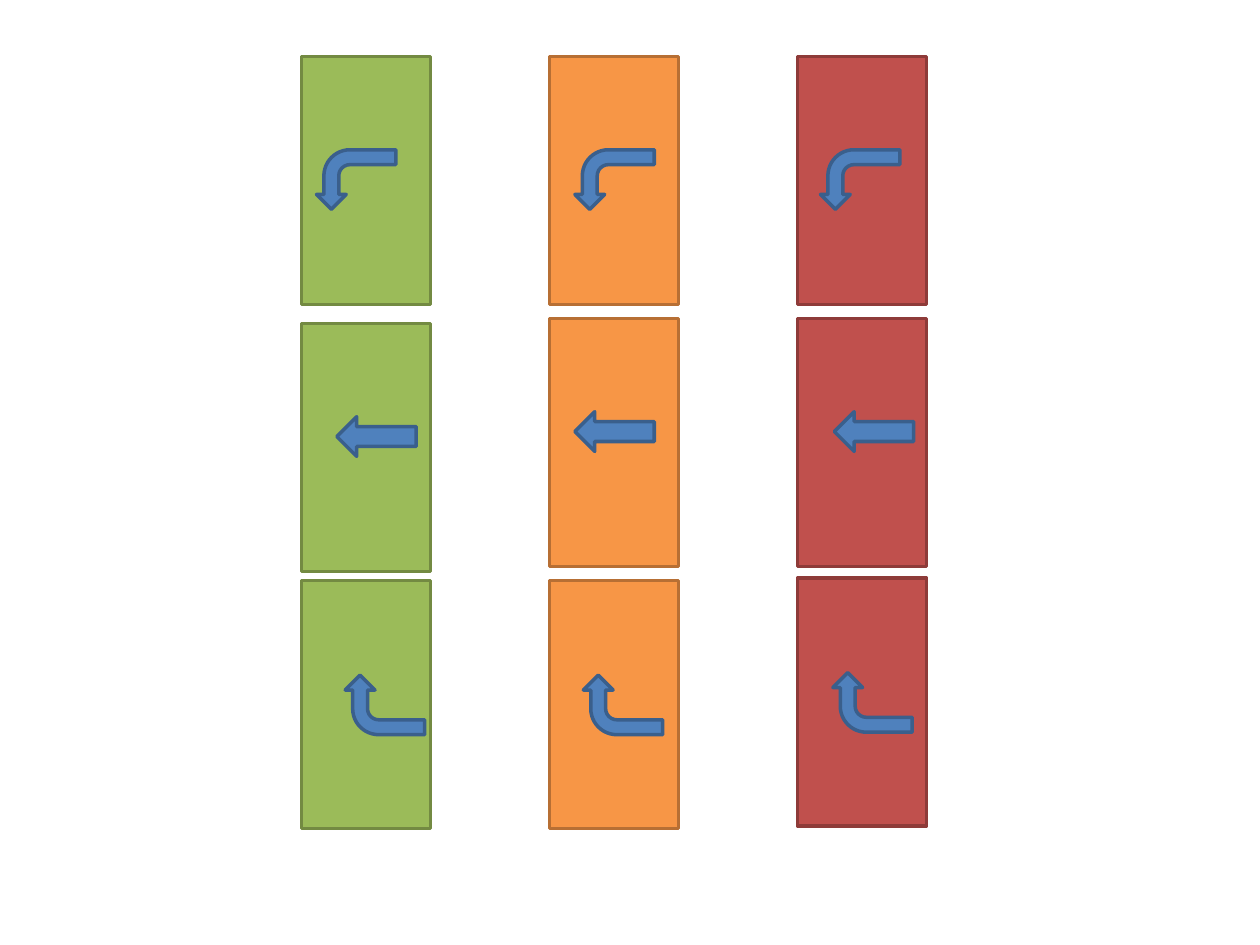
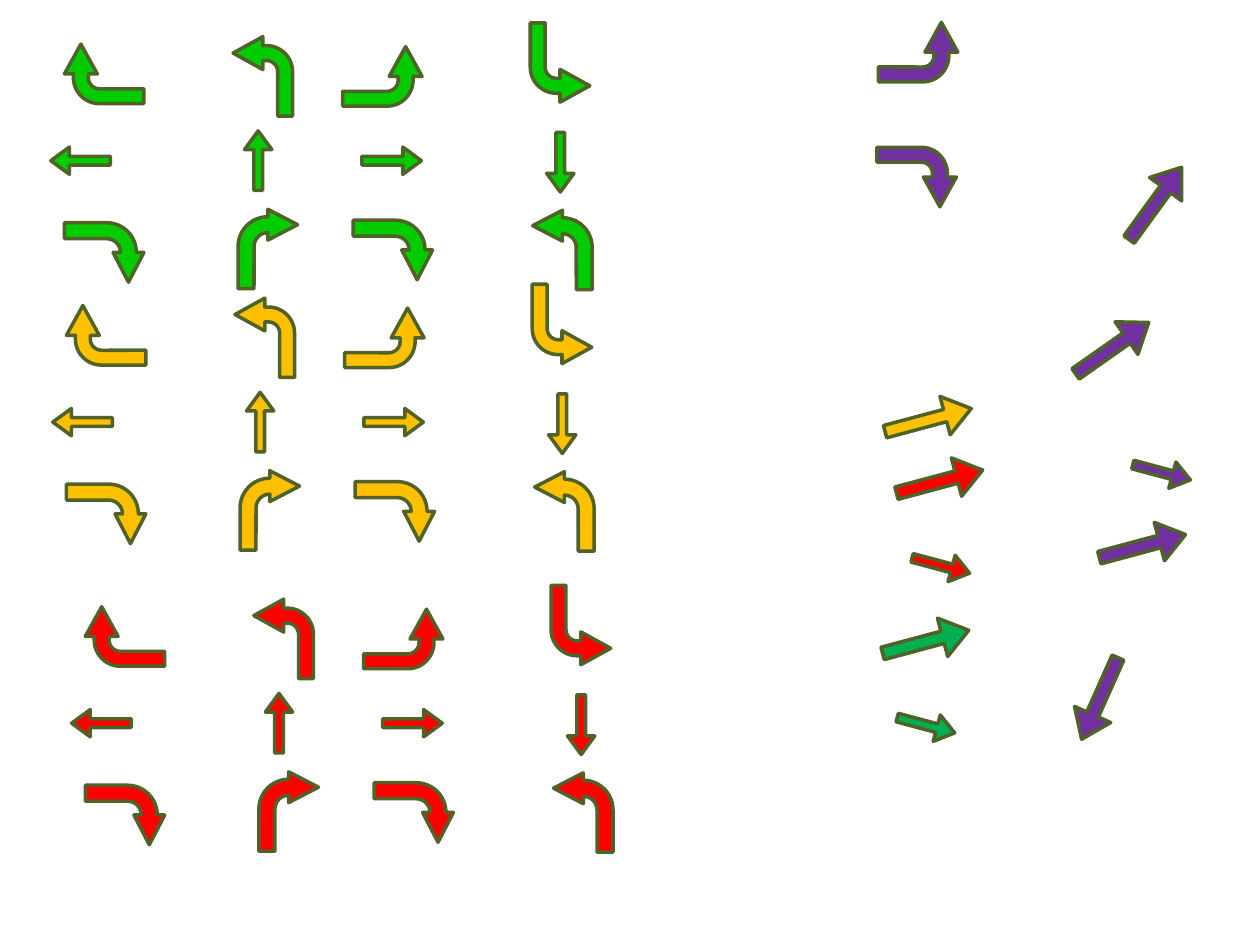
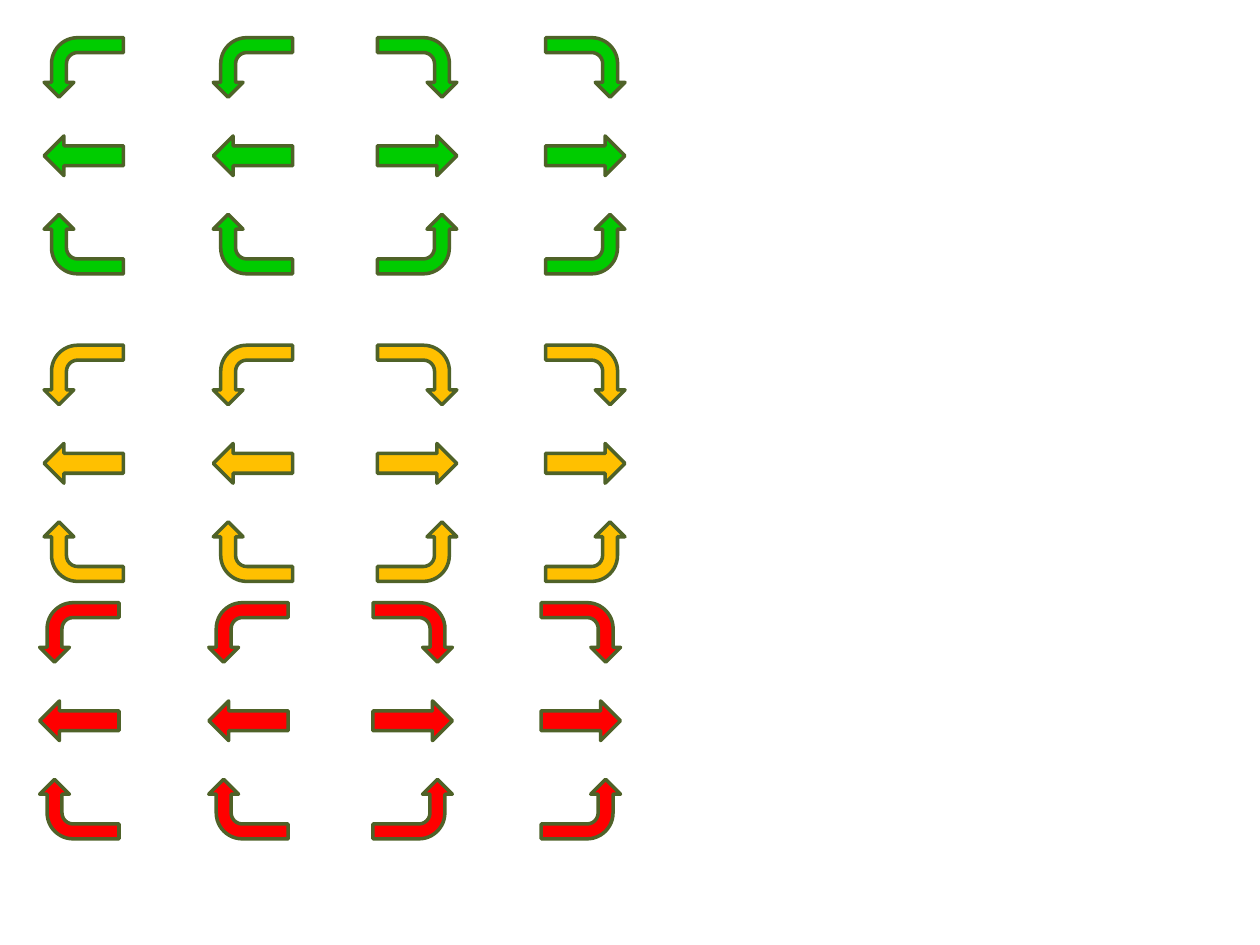
from itertools import product

from pptx import Presentation
from pptx.dml.color import RGBColor
from pptx.enum.shapes import MSO_SHAPE
from pptx.oxml.ns import qn
from pptx.util import Cm, Pt

GREEN, YELLOW, RED = "00CC00", "FFC000", "FF0000"
PURPLE, DARK_GREEN, OLIVE = "7030A0", "00B050", "4F6228"
BLUE, NAVY = "4F81BD", "3A5F8C"

KINDS = {
    "card": (MSO_SHAPE.RECTANGLE, 5, 2.6, ()),
    "bent": (MSO_SHAPE.BENT_ARROW, 1.2, 1.6, ()),
    "straight": (MSO_SHAPE.UP_ARROW, 0.8, 1.6, ()),
    "turn out": (MSO_SHAPE.BENT_ARROW, 1.2, 1.6, (0.268, 0.259, 0.5, 0.614)),
    "turn in": (MSO_SHAPE.BENT_ARROW, 1.2, 1.6, (0.25, 0.276, 0.5, 0.438)),
    "short": (MSO_SHAPE.UP_ARROW, 0.55, 1.2, (0.32, 0.683)),
    "long": (MSO_SHAPE.UP_ARROW, 0.8, 1.8, (0.32, 0.683)),
}

CARD_COLOURS = [("9BBB59", "738A42"), ("F79646", "B76F34"), ("C0504D", "8E3B39")]
CARD_LEFT, CARD_STEP = 4.88, 5
CARD_ROWS = [
    ((2.34, 2.34, 2.34), "bent", "h", [(6.58, 2.82), (11.79, 2.82), (16.74, 2.82)]),
    ((7.72, 7.62, 7.62), "straight", "", [(7.19, 8), (11.99, 7.9), (17.22, 7.9)]),
    ((12.9, 12.9, 12.85), "bent", "", [(7.16, 13.41), (11.96, 13.41), (16.99, 13.36)]),
]

JUNCTION_GROUPS = [(GREEN, 0, 0), (YELLOW, 0.04, 5.27), (RED, 0.42, 11.34)]
JUNCTION_ARROWS = [
    ("turn out", 4.8, 4.22, 0, ""),
    ("turn in", 7.11, 0.74, 90, "h"),
    ("short", 7.62, 2.64, 90, ""),
    ("short", 4.93, 2.64, 0, ""),
    ("short", 1.35, 2.64, 270, "h"),
    ("short", 11.02, 2.67, 180, ""),
    ("turn in", 10.69, 0.46, 180, "h"),
    ("turn in", 4.7, 0.74, 0, "h"),
    ("turn in", 1.5, 0.69, 270, ""),
    ("turn out", 7.32, 4.24, 90, ""),
    ("turn out", 10.74, 4.24, 0, "h"),
    ("turn out", 1.5, 4.29, 90, ""),
]
LOOSE_ARROWS = [
    ("short", 23.14, 8.92, 105, "", PURPLE),
    ("long", 22.63, 10.11, 255, "v", PURPLE),
    ("turn in", 17.91, 0.25, 90, "h", PURPLE),
    ("turn in", 17.88, 2.77, 270, "hv", PURPLE),
    ("long", 18.26, 12.04, 255, "v", DARK_GREEN),
    ("short", 18.39, 14.02, 105, "", DARK_GREEN),
    ("long", 18.54, 8.81, 255, "v", RED),
    ("short", 18.69, 10.8, 105, "", RED),
    ("long", 18.31, 7.57, 255, "v", YELLOW),
    ("long", 22.02, 6.12, 234.9, "v", PURPLE),
    ("long", 22.89, 3.2, 216, "v", PURPLE),
    ("long", 21.77, 13.18, 24, "v", PURPLE),
]

LANE_GROUPS = [(GREEN, 0, 0), (YELLOW, 0, 6.2), (RED, -0.09, 11.39)]
LANE_COLUMNS = [
    (1.09, 270, ("h", "", "")),
    (4.5, 270, ("h", "", "")),
    (7.81, 90, ("", "h", "h")),
    (11.2, 90, ("", "h", "h")),
]
LANE_KINDS = [("bent", 0), ("straight", 0.2), ("bent", 0)]
LANE_TOP, LANE_STEP = 0.56, 1.78


def colour(value):
    return RGBColor.from_string(value)


def add_figure(slide, kind, left, top, rotation, flip, fill, line):
    preset, width, height, adjustments = KINDS[kind]
    shape = slide.shapes.add_shape(preset, Cm(left), Cm(top), Cm(width), Cm(height))
    for index, value in enumerate(adjustments):
        shape.adjustments[index] = value
    shape.rotation = rotation
    for axis in flip:
        shape.element.spPr.find(qn("a:xfrm")).set(f"flip{axis.upper()}", "1")
    shape.shadow.inherit = False
    shape.fill.solid()
    shape.fill.fore_color.rgb = colour(fill)
    shape.line.color.rgb = colour(line)
    shape.line.width = Pt(2)


def build_cards(slide):
    for tops, kind, flip, places in CARD_ROWS:
        for column, (top, place) in enumerate(zip(tops, places)):
            left = CARD_LEFT + column * CARD_STEP
            add_figure(slide, "card", left, top, 270, "", *CARD_COLOURS[column])
            add_figure(slide, kind, *place, 270, flip, BLUE, NAVY)


def build_junctions(slide):
    for (fill, right, down), arrow in product(JUNCTION_GROUPS, JUNCTION_ARROWS):
        kind, left, top, rotation, flip = arrow
        add_figure(slide, kind, left + right, top + down, rotation, flip, fill, OLIVE)
    for arrow in LOOSE_ARROWS:
        add_figure(slide, *arrow, OLIVE)


def build_lanes(slide):
    for (fill, right, down), column in product(LANE_GROUPS, LANE_COLUMNS):
        left, rotation, flips = column
        for row, ((kind, inset), flip) in enumerate(zip(LANE_KINDS, flips)):
            top = LANE_TOP + row * LANE_STEP + down
            add_figure(slide, kind, left + inset + right, top, rotation, flip, fill, OLIVE)


def main():
    presentation = Presentation()
    presentation.slide_width, presentation.slide_height = Cm(25.4), Cm(19.05)
    blank_layout = presentation.slide_layouts[6]
    for build in (build_cards, build_junctions, build_lanes):
        build(presentation.slides.add_slide(blank_layout))
    presentation.save("out.pptx")


if __name__ == "__main__":
    main()
